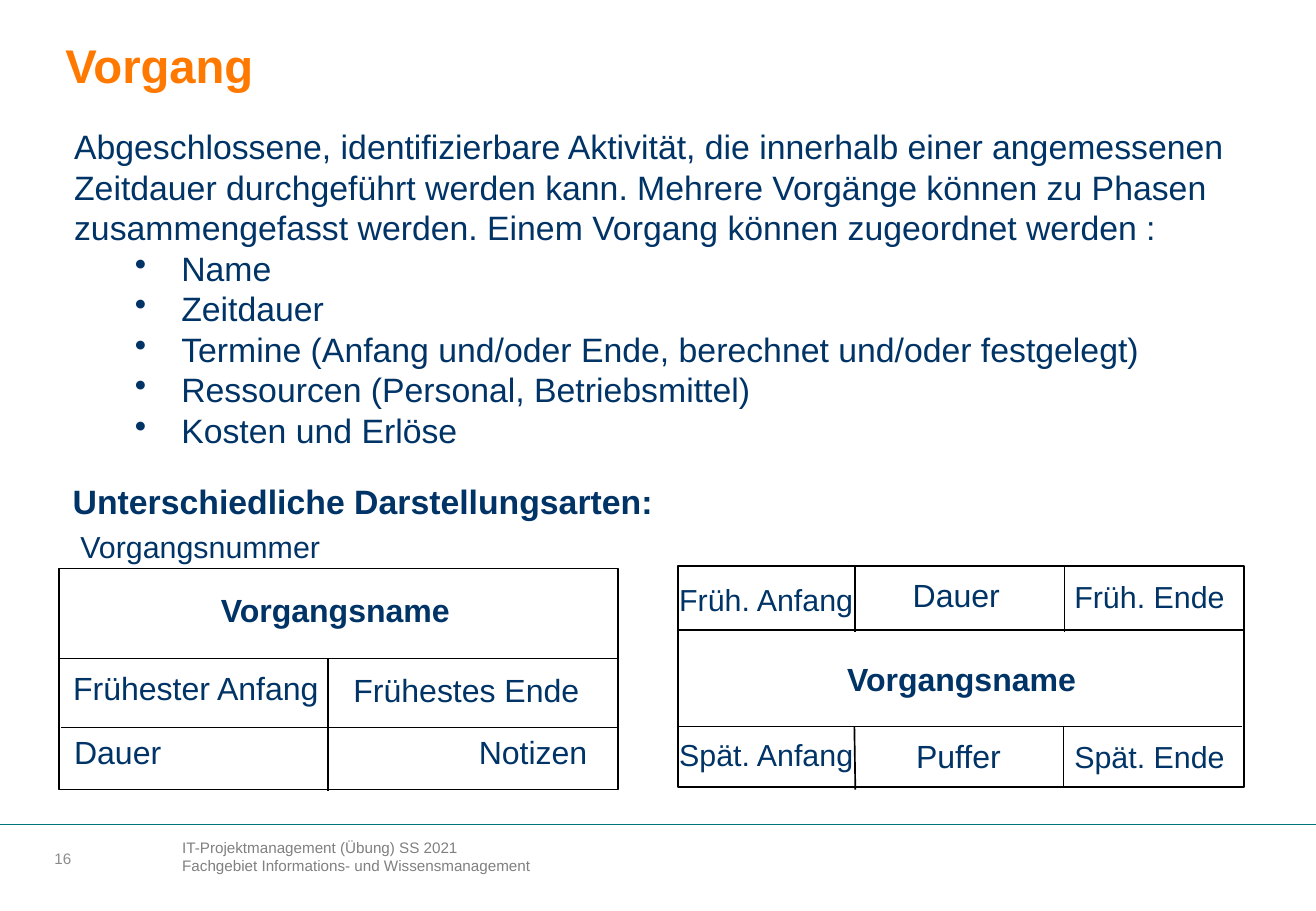
import pptx
import pptx.util
import pptx.dml.color
import pptx.enum.shapes
import pptx.enum.text
import pptx.oxml.ns
from lxml import etree

Cm = pptx.util.Cm
Pt = pptx.util.Pt
ANCHOR = pptx.enum.text.MSO_ANCHOR
COLORS = {
    "title": "FF7900",
    "text": "003366",
    "footer": "808080",
    "number": "8C8C8C",
    "rule": "007479",
    "border": "000000",
    "paper": "FFFFFF",
}
INTRO = (
    "Abgeschlossene, identifizierbare Aktivität, die innerhalb einer "
    "angemessenen Zeitdauer durchgeführt werden kann. Mehrere Vorgänge können "
    "zu Phasen zusammengefasst werden. Einem Vorgang können zugeordnet werden :"
)
ATTRIBUTES = [
    "Name",
    "Zeitdauer",
    "Termine (Anfang und/oder Ende, berechnet und/oder festgelegt)",
    "Ressourcen (Personal, Betriebsmittel)",
    "Kosten und Erlöse",
]
FOOTER = [
    "IT-Projektmanagement (Übung) SS 2021",
    "Fachgebiet Informations- und Wissensmanagement",
]
CARDS = [
    {
        "frame": (1.24, 11.89, 11.68, 4.62),
        "lines": [
            (1.24, 13.77, 12.95, 13.77),
            (1.27, 15.21, 12.9, 15.21),
            (6.86, 13.79, 6.86, 16.54),
        ],
        "labels": [
            ("Vorgangsname", 4.39, 12.32, 5.28, 19, True),
            ("Frühester Anfang", 1.3, 13.97, 5.66, 19, False),
            ("Frühestes Ende", 7.16, 14, 5.23, 19, False),
            ("Dauer", 1.32, 15.29, 2.31, 19, False),
            ("Notizen", 9.78, 15.29, 2.74, 19, False),
            ("Vorgangsnummer", 1.45, 11.02, 5.51, 18, False),
        ],
    },
    {
        "frame": (14.17, 11.84, 11.84, 4.62),
        "lines": [
            (14.15, 13.18, 26.01, 13.18),
            (14.17, 15.19, 25.96, 15.19),
            (17.88, 11.84, 17.88, 13.21),
            (22.25, 11.84, 22.25, 13.21),
            (17.86, 15.19, 17.88, 16.51),
            (22.23, 15.21, 22.23, 16.48),
        ],
        "labels": [
            ("Vorgangsname", 17.48, 13.77, 5.28, 19, True),
            ("Früh. Anfang", 13.97, 12.12, 4.24, 18, False),
            ("Dauer", 18.85, 12.01, 2.34, 19, False),
            ("Früh. Ende", 22.23, 12.07, 3.73, 18, False),
            ("Spät. Anfang", 13.97, 15.37, 4.11, 18, False),
            ("Puffer", 18.92, 15.39, 2.31, 19, False),
            ("Spät. Ende", 22.23, 15.42, 3.68, 18, False),
        ],
    },
]


def color(name):
    return pptx.dml.color.RGBColor.from_string(COLORS[name])


def add_text(slide, box, lines, size, ink, bold=False, anchor=ANCHOR.TOP,
             insets=(0.25, 0.13), wrap=True):
    textbox = slide.shapes.add_textbox(*[Cm(length) for length in box])
    frame = textbox.text_frame
    frame.word_wrap = wrap
    frame.vertical_anchor = anchor
    frame.margin_left = frame.margin_right = Cm(insets[0])
    frame.margin_top = frame.margin_bottom = Cm(insets[1])
    frame.text = "\n".join(lines)
    for paragraph in frame.paragraphs:
        for run in paragraph.runs:
            run.font.name = "Arial"
            run.font.size = Pt(size)
            run.font.bold = bold
            run.font.color.rgb = color(ink)
    return frame


def add_bullet(paragraph):
    paragraph.level = 1
    properties = paragraph._p.get_or_add_pPr()
    properties.set("marL", str(Cm(2.24)))
    properties.set("indent", str(Cm(-0.97)))
    bullet = etree.SubElement(properties, pptx.oxml.ns.qn("a:buChar"))
    bullet.set("char", "•")


def add_line(slide, ends, ink, width):
    line = slide.shapes.add_connector(
        pptx.enum.shapes.MSO_CONNECTOR.STRAIGHT, *[Cm(length) for length in ends]
    )
    line.line.color.rgb = color(ink)
    line.line.width = Pt(width)
    etree.SubElement(line._element.spPr, pptx.oxml.ns.qn("a:effectLst"))


def add_card(slide, card):
    frame = slide.shapes.add_shape(
        pptx.enum.shapes.MSO_SHAPE.RECTANGLE,
        *[Cm(length) for length in card["frame"]],
    )
    frame.shadow.inherit = False
    frame.fill.solid()
    frame.fill.fore_color.rgb = color("paper")
    frame.line.color.rgb = color("border")
    frame.line.width = Pt(1)
    for ends in card["lines"]:
        add_line(slide, ends, "border", 1)
    for label, left, top, width, size, bold in card["labels"]:
        text = add_text(slide, (left, top, width, 0.94), [label], size, "text",
                        bold, insets=(0.23, 0.11), wrap=False)
        text.paragraphs[0].line_spacing = 0.9


def main():
    presentation = pptx.Presentation()
    presentation.slide_width = Cm(27.51)
    presentation.slide_height = Cm(19.05)
    slide = presentation.slides.add_slide(presentation.slide_layouts[6])

    add_text(slide, (1.12, 0.66, 26.24, 1.4), ["Vorgang"], 28, "title", True,
             ANCHOR.MIDDLE)
    definition = add_text(slide, (1.3, 2.51, 26.06, 7.09),
                          [INTRO, *ATTRIBUTES], 20, "text")
    for paragraph in definition.paragraphs[1:]:
        add_bullet(paragraph)
    add_text(slide, (1.27, 9.93, 17.45, 1.12),
             ["Unterschiedliche Darstellungsarten:"], 20, "text", True)
    for card in CARDS:
        add_card(slide, card)

    add_line(slide, (0, 17.25, 27.51, 17.25), "rule", 0.5)
    add_text(slide, (1.14, 17.63, 1.83, 0.64), ["16"], 9, "number",
             anchor=ANCHOR.MIDDLE, insets=(0, 0))
    add_text(slide, (3.56, 17.4, 15.39, 1.42), FOOTER, 9, "footer")
    presentation.save("out.pptx")


if __name__ == "__main__":
    main()
